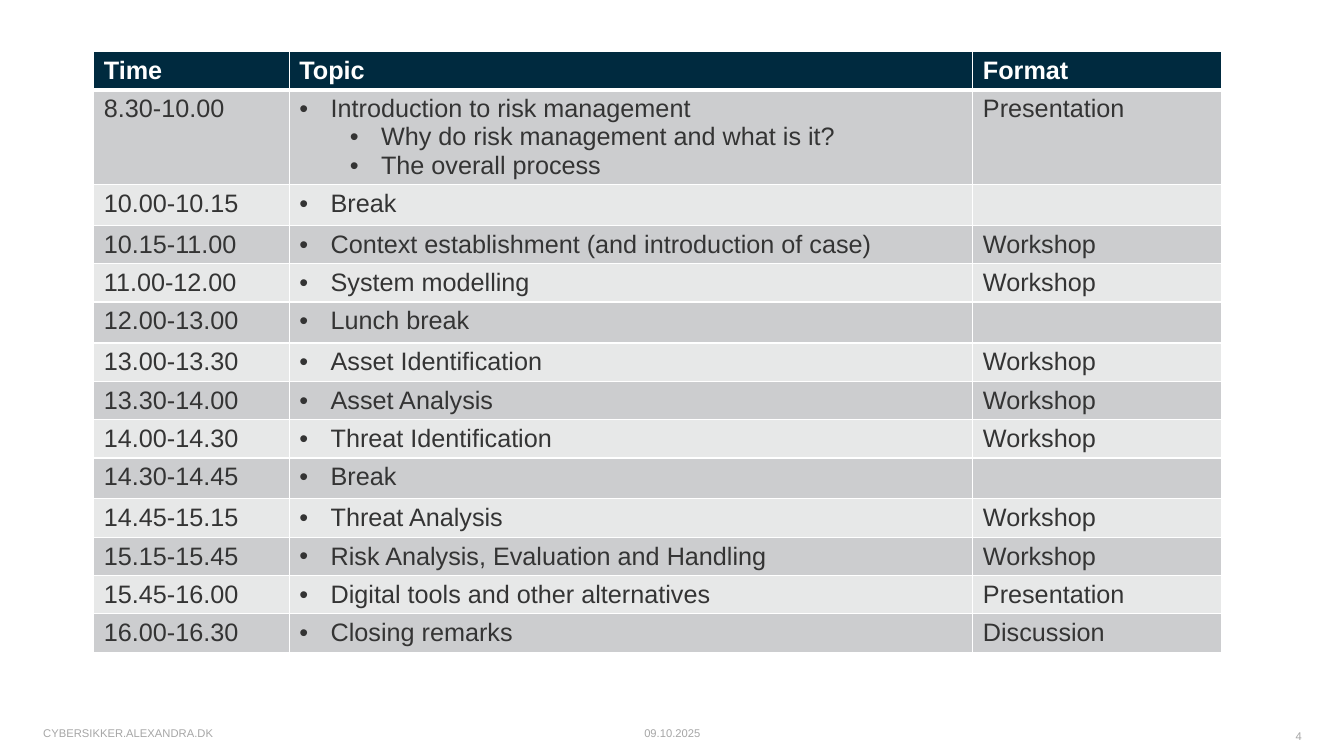
import dataclasses
import typing

import lxml.etree
import pptx
import pptx.dml.color
import pptx.enum.text
import pptx.oxml.ns
import pptx.util

ALIGN = pptx.enum.text.PP_ALIGN
MIDDLE = pptx.enum.text.MSO_ANCHOR.MIDDLE
NAVY, WHITE, TEXT, MUTED = "002A3F", "FFFFFF", "343434", "A6A6A6"
BANDS = ("CCCDCF", "E7E8E8")

# Slide size in inches; all other places are percentages of it
WIDTH, HEIGHT = 13.33, 7.5
TABLE_LEFT, TABLE_TOP = 6.98, 6.8
COLUMNS = (14.55, 50.86, 18.53)
ROW, TALL_ROW = 4.93, 12.27


@dataclasses.dataclass(frozen=True)
class Session:
    time: str
    topic: str
    form: str = ""
    details: tuple[str, ...] = ()


@dataclasses.dataclass(frozen=True)
class Footer:
    text: str
    left: float
    top: float
    width: float
    height: float
    align: ALIGN


SESSIONS = (
    Session("8.30-10.00", "Introduction to risk management", "Presentation",
            ("Why do risk management and what is it?", "The overall process")),
    Session("10.00-10.15", "Break"),
    Session("10.15-11.00", "Context establishment (and introduction of case)", "Workshop"),
    Session("11.00-12.00", "System modelling", "Workshop"),
    Session("12.00-13.00", "Lunch break"),
    Session("13.00-13.30", "Asset Identification", "Workshop"),
    Session("13.30-14.00", "Asset Analysis", "Workshop"),
    Session("14.00-14.30", "Threat Identification", "Workshop"),
    Session("14.30-14.45", "Break"),
    Session("14.45-15.15", "Threat Analysis", "Workshop"),
    Session("15.15-15.45", "Risk Analysis, Evaluation and Handling", "Workshop"),
    Session("15.45-16.00", "Digital tools and other alternatives", "Presentation"),
    Session("16.00-16.30", "Closing remarks", "Discussion"),
)
FOOTERS = (
    Footer("09.10.2025", 38.18, 95.6, 23.71, 2.67, ALIGN.CENTER),
    Footer("CYBERSIKKER.ALEXANDRA.DK", 2.48, 95.6, 25.73, 2.67, ALIGN.LEFT),
    Footer("4", 81.62, 95.73, 15.98, 3.2, ALIGN.RIGHT),
)


def across(percent: float) -> pptx.util.Length:
    return pptx.util.Inches(WIDTH * percent / 100)


def down(percent: float) -> pptx.util.Length:
    return pptx.util.Inches(HEIGHT * percent / 100)


def rgb(value: str) -> pptx.dml.color.RGBColor:
    return pptx.dml.color.RGBColor.from_string(value)


def child(parent: typing.Any, tag: str, **attributes: str) -> typing.Any:
    return lxml.etree.SubElement(parent, pptx.oxml.ns.qn(tag), attributes)


def write(p: typing.Any, text: str, size: float, color: str, bold: bool = False) -> None:
    r = p.add_run()
    r.text = text
    form = {"name": "Arial", "size": pptx.util.Pt(size), "bold": bold}
    for name, value in form.items():
        setattr(r.font, name, value)
    r.font.color.rgb = rgb(color)


def add_bullet(p: typing.Any, level: int) -> None:
    p.level = level
    pPr = p._p.get_or_add_pPr()
    indent = {"marL": 0.31 + 0.5 * level, "indent": -0.31}
    for name, inches in indent.items():
        pPr.set(name, str(pptx.util.Inches(inches)))
    child(pPr, "a:buFont", typeface="Arial")
    child(pPr, "a:buChar", char="•")


def style_cell(cell: typing.Any, fill: str, top: float, bottom: float) -> None:
    # Borders come before the fill in the cell properties
    tcPr = cell._tc.get_or_add_tcPr()
    for side, points in {"L": 1, "R": 1, "T": top, "B": bottom}.items():
        ln = child(tcPr, f"a:ln{side}", w=str(pptx.util.Pt(points)))
        child(child(ln, "a:solidFill"), "a:srgbClr", val=WHITE)
    cell.fill.solid()
    cell.fill.fore_color.rgb = rgb(fill)


def fill_topic(cell: typing.Any, session: Session) -> None:
    tf = cell.text_frame
    for i, line in enumerate((session.topic, *session.details)):
        p = tf.add_paragraph() if i else tf.paragraphs[0]
        add_bullet(p, min(i, 1))
        write(p, line, 18, TEXT)


def add_agenda(s: typing.Any) -> None:
    heights = [ROW] + [TALL_ROW if item.details else ROW for item in SESSIONS]
    table = s.shapes.add_table(
        len(heights), len(COLUMNS), across(TABLE_LEFT), down(TABLE_TOP),
        across(sum(COLUMNS)), down(sum(heights))).table
    table.horz_banding = False
    for column, width in zip(table.columns, COLUMNS):
        column.width = across(width)
    for row, height in zip(table.rows, heights):
        row.height = down(height)

    # Header row
    for cell, heading in zip(table.rows[0].cells, ("Time", "Topic", "Format")):
        style_cell(cell, NAVY, 1, 3)
        write(cell.text_frame.paragraphs[0], heading, 18, WHITE, True)

    # Sessions in alternating bands
    for i, session in enumerate(SESSIONS):
        cells = list(table.rows[i + 1].cells)
        for cell in cells:
            style_cell(cell, BANDS[i % 2], 1 if i else 3, 1)
        write(cells[0].text_frame.paragraphs[0], session.time, 18, TEXT)
        fill_topic(cells[1], session)
        if session.form:
            write(cells[2].text_frame.paragraphs[0], session.form, 18, TEXT)


def add_footer(s: typing.Any, footer: Footer) -> None:
    sp = s.shapes.add_textbox(across(footer.left), down(footer.top),
                              across(footer.width), down(footer.height))
    tf = sp.text_frame
    for name, value in {"word_wrap": True, "vertical_anchor": MIDDLE}.items():
        setattr(tf, name, value)
    p = tf.paragraphs[0]
    p.alignment = footer.align
    write(p, footer.text, 8, MUTED)


def main() -> None:
    prs = pptx.Presentation()
    prs.slide_width, prs.slide_height = across(100), down(100)
    s = prs.slides.add_slide(prs.slide_layouts[6])
    add_agenda(s)
    for footer in FOOTERS:
        add_footer(s, footer)
    prs.save("out.pptx")


if __name__ == "__main__":
    main()
